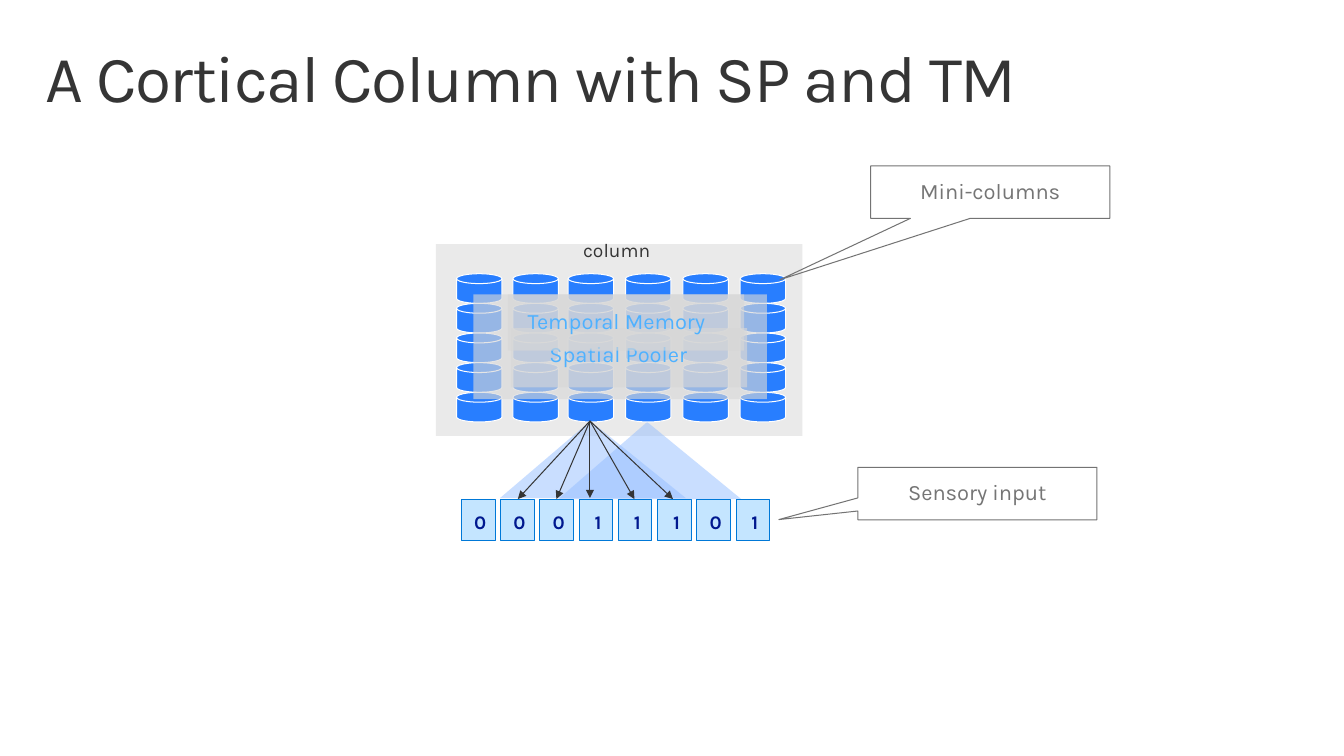
from lxml import etree
from pptx import Presentation
from pptx.dml.color import RGBColor
from pptx.enum import shapes, text
from pptx.oxml import ns
from pptx.util import Inches, Pt

TITLE = "A Cortical Column with SP and TM"
SENSORY_BITS = "00011101"
CELL_LEFT, CELL_TOP, CELL_PITCH = 4.67, 5.05, 0.397
MINI_COLUMN_LEFTS = [4.62, 5.19, 5.75, 6.33, 6.91, 7.49]
LAYERS, DISK_TOP, DISK_HEIGHT = 5, 2.77, 0.3
ARROW_START = (5.97, 4.26)
ARROW_ENDS = [(5.24, 5.05), (5.63, 5.05), (5.97, 5.04), (6.42, 5.05), (6.81, 5.05)]
CALLOUTS = [
    ("Mini-columns", (8.81, 1.68, 2.42, 0.53), (-0.879, 1.672)),
    ("Sensory input", (8.68, 4.73, 2.42, 0.53), (-0.83, 0.497)),
]
PANELS = [
    ("", (4.79, 2.98, 2.97, 1.06), 0.2),
    ("Spatial Pooler", (5.17, 3.32, 2.39, 0.6), 0.39),
    ("Temporal Memory", (5.14, 2.98, 2.39, 0.57), 0.2),
]

FONT = "Karla"
DARK = RGBColor(0x35, 0x35, 0x35)
WHITE = RGBColor(0xFF, 0xFF, 0xFF)
COLUMN_GRAY = RGBColor(0xEA, 0xEA, 0xEA)
PANEL_GRAY = RGBColor(0xD7, 0xD7, 0xD7)
DISK_BLUE = RGBColor(0x28, 0x7E, 0xFF)
FIELD_BLUE = RGBColor(0x94, 0xBE, 0xFF)
CELL_FILL = RGBColor(0xC4, 0xE5, 0xFF)
CELL_LINE = RGBColor(0x00, 0x78, 0xD7)
DIGIT_BLUE = RGBColor(0x00, 0x18, 0x8F)
LABEL_BLUE = RGBColor(0x4E, 0xB1, 0xFF)
CALLOUT_LINE = RGBColor(0x73, 0x73, 0x73)
CALLOUT_TEXT = RGBColor(0x75, 0x75, 0x75)
SHAPE = shapes.MSO_SHAPE
ALIGN = text.PP_ALIGN
ANCHOR = text.MSO_ANCHOR


def add_shape(parent, kind, box, fill=None, line=None, alpha=None):
    sp = parent.add_shape(kind, *map(Inches, box))
    sp.shadow.inherit = False
    if fill is None:
        sp.fill.background()
    else:
        sp.fill.solid()
        sp.fill.fore_color.rgb = fill
    if alpha is not None:
        color = sp.fill._xPr.find(".//" + ns.qn("a:srgbClr"))
        etree.SubElement(color, ns.qn("a:alpha"), val=str(alpha * 1000))
    if line is None:
        sp.line.fill.background()
    else:
        sp.line.color.rgb = line
        sp.line.width = Pt(0.75)
    return sp


def write(sp, words, size, color, align=ALIGN.LEFT, anchor=ANCHOR.TOP,
          insets=(0.2, 0.16, 0.2, 0.16), bold=False):
    tf = sp.text_frame
    tf.text = words
    tf.word_wrap = True
    tf.auto_size = text.MSO_AUTO_SIZE.NONE
    tf.vertical_anchor = anchor
    tf.margin_left, tf.margin_top, tf.margin_right, tf.margin_bottom = map(Inches, insets)
    p = tf.paragraphs[0]
    p.alignment = align
    p.line_spacing = 0.9
    p.space_before = Pt(0)
    r = p.runs[0]
    r.font.name, r.font.size, r.font.bold = FONT, Pt(size), bold
    r.font.color.rgb = color
    return r


def add_field(parent, box):
    sp = add_shape(parent, SHAPE.ISOSCELES_TRIANGLE, box, FIELD_BLUE, alpha=50)
    sp.adjustments[0] = 0.486


def add_arrow(parent, start, end):
    line = parent.add_connector(shapes.MSO_CONNECTOR.STRAIGHT, *map(Inches, start + end))
    line.line.color.rgb = DARK
    line.line.width = Pt(0.75)
    etree.SubElement(line.line._get_or_add_ln(), ns.qn("a:tailEnd"), type="triangle")
    etree.SubElement(line._element.spPr, ns.qn("a:effectLst"))


def main():
    """Build the cortical column slide."""
    prs = Presentation()
    prs.slide_width, prs.slide_height = Inches(13.6), Inches(7.65)
    s = prs.slides.add_slide(prs.slide_layouts[5])

    title = s.shapes.title
    title.left, title.top, title.width, title.height = map(Inches, (0.3, 0.32, 13, 1))
    r = write(title, TITLE, 48, DARK, anchor=ANCHOR.MIDDLE, insets=(0.16, 0.1, 0.16, 0.1))
    r.font._element.set("spc", "-100")

    add_shape(s.shapes, SHAPE.RECTANGLE, (4.41, 2.47, 3.71, 1.94), COLUMN_GRAY)
    add_field(s.shapes, (5.65, 4.27, 1.85, 0.78))
    for left in MINI_COLUMN_LEFTS:
        mini_column = s.shapes.add_group_shape()
        for layer in range(LAYERS):
            box = (left, DISK_TOP + layer * DISK_HEIGHT, 0.46, DISK_HEIGHT)
            add_shape(mini_column.shapes, SHAPE.FLOWCHART_MAGNETIC_DISK, box, DISK_BLUE, WHITE)

    for i, bit in enumerate(SENSORY_BITS):
        box = (CELL_LEFT + i * CELL_PITCH, CELL_TOP, 0.34, 0.42)
        cell = add_shape(s.shapes, SHAPE.RECTANGLE, box, CELL_FILL, CELL_LINE)
        write(cell, bit, 14, DIGIT_BLUE, ALIGN.CENTER, ANCHOR.MIDDLE,
              (0.04, 0.08, 0, 0), bold=True)

    add_field(s.shapes, (5.06, 4.26, 1.88, 0.78))
    for end in ARROW_ENDS:
        add_arrow(s.shapes, ARROW_START, end)

    label = s.shapes.add_textbox(*map(Inches, (5.7, 2.28, 2.89, 0.54)))
    write(label, "column", 14, DARK)

    for words, box, inset in PANELS:
        panel = add_shape(s.shapes, SHAPE.RECTANGLE, box, PANEL_GRAY, alpha=63)
        if words:
            write(panel, words, 16, LABEL_BLUE, insets=(inset, 0.16, 0.2, 0.16))

    for words, box, tip in CALLOUTS:
        callout = add_shape(s.shapes, SHAPE.RECTANGULAR_CALLOUT, box, line=CALLOUT_LINE)
        callout.adjustments[0], callout.adjustments[1] = tip
        write(callout, words, 16, CALLOUT_TEXT, ALIGN.CENTER, ANCHOR.MIDDLE)

    prs.save("out.pptx")


if __name__ == "__main__":
    main()
